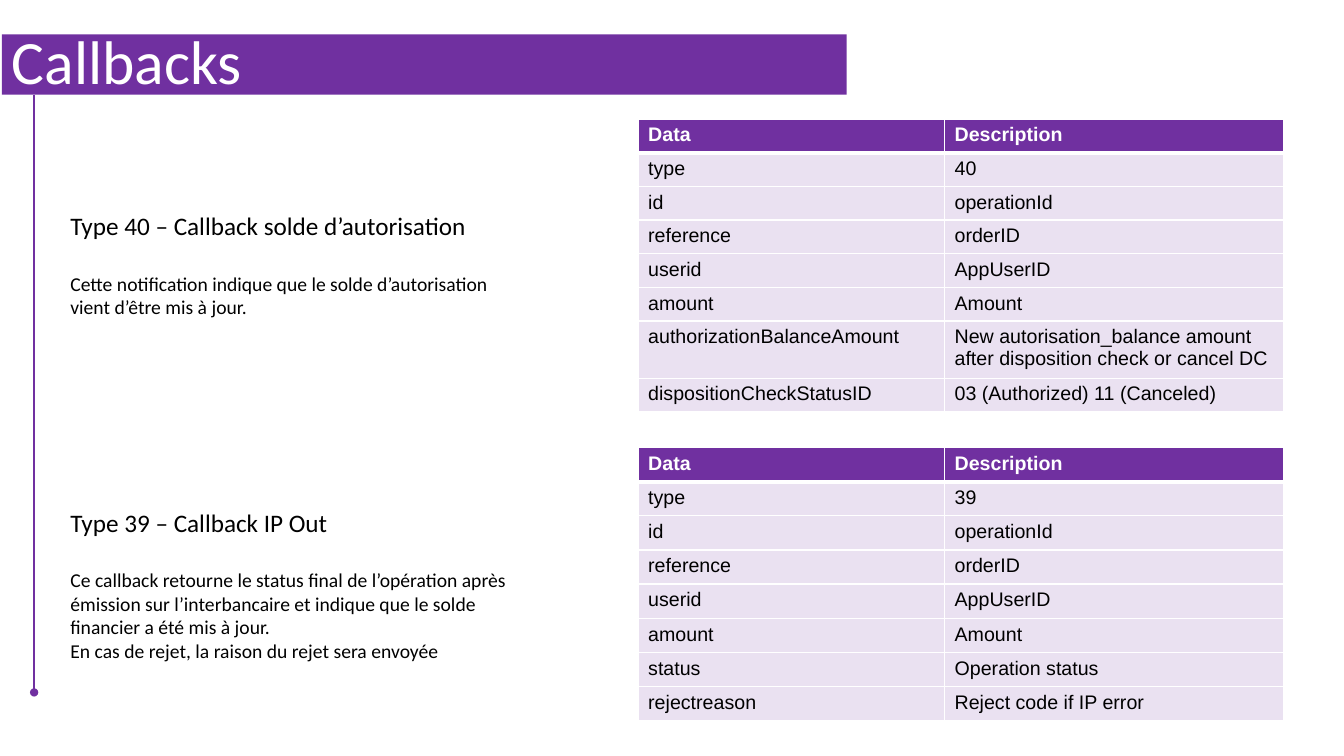
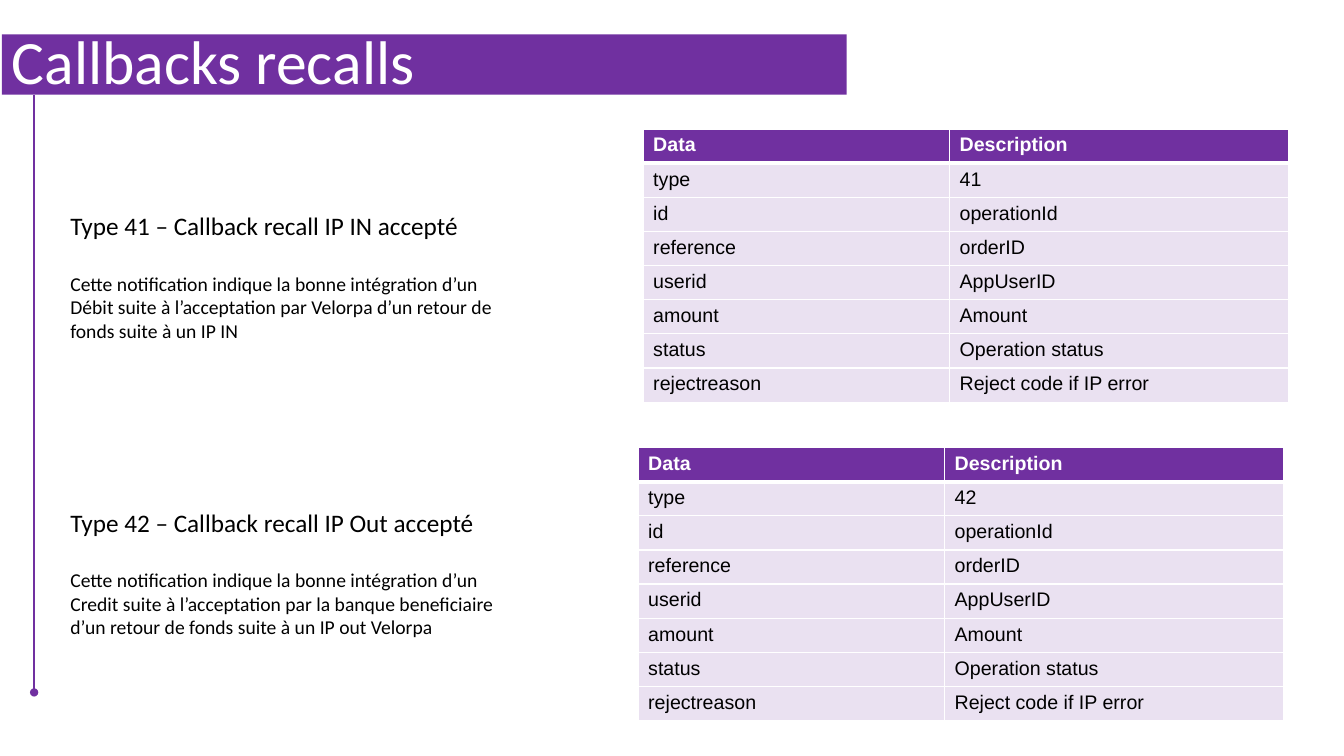
from collections import namedtuple

from lxml import etree
from pptx import Presentation
from pptx.dml.color import RGBColor
from pptx.enum.shapes import MSO_CONNECTOR
from pptx.enum.text import MSO_ANCHOR, MSO_AUTO_SIZE, PP_ALIGN
from pptx.oxml.ns import qn
from pptx.util import Pt

STRAIGHT = MSO_CONNECTOR.STRAIGHT
MIDDLE = MSO_ANCHOR.MIDDLE
NO_FIT = MSO_AUTO_SIZE.NONE
GROW = MSO_AUTO_SIZE.SHAPE_TO_FIT_TEXT
LEFT = PP_ALIGN.LEFT

COLORS = {"purple": "7030A0", "white": "FFFFFF", "black": "000000"}
TEXT_FONT = "Calibri"
TABLE_FONT = "Arial"
TINT_ALPHA = 14

Box = namedtuple("Box", "left top width height")
Section = namedtuple("Section", "heading lines text_box rows table_box row_heights")

TITLE_BOX = Box(1.3, 24.5, 603.5, 43.2)
RAIL_BOX = Box(24.4, 67.7, 0, 426.9)
TABLE_WIDTH = 460.8
DATA_SHARE = 0.475
ROW = 24.4

HEADER = ("Data", "Description")
COMMON_ROWS = [
    ("id", "operationId"),
    ("reference", "orderID"),
    ("userid", "AppUserID"),
    ("amount", "Amount"),
]
STATUS_ROWS = [
    ("status", "Operation status"),
    ("rejectreason", "Reject code if IP error"),
]
BALANCE_ROWS = [
    ("authorizationBalanceAmount",
     "New autorisation_balance amount after disposition check or cancel DC"),
    ("dispositionCheckStatusID", "03 (Authorized) 11 (Canceled)"),
]


def rgb(name):
    return RGBColor.from_string(COLORS[name])


def in_points(box):
    return [Pt(length) for length in box]


def write(paragraph, text, size=14, font=TEXT_FONT, color="black", bold=False,
          before=0, line_spacing=1.0):
    paragraph.alignment = LEFT
    paragraph.space_before = Pt(before)
    paragraph.line_spacing = line_spacing
    run = paragraph.add_run()
    run.text = text
    run.font.size = Pt(size)
    run.font.name = font
    run.font.bold = bold
    run.font.color.rgb = rgb(color)


def add_title(slide, box, text):
    title = slide.shapes.title
    title.left, title.top, title.width, title.height = in_points(box)
    title.fill.solid()
    title.fill.fore_color.rgb = rgb("purple")
    frame = title.text_frame
    frame.word_wrap = True
    frame.auto_size = NO_FIT
    frame.vertical_anchor = MIDDLE
    write(frame.paragraphs[0], text, size=44, color="white", line_spacing=0.9)


def add_rail(slide, box):
    left, top, width, height = in_points(box)
    rail = slide.shapes.add_connector(STRAIGHT, left, top, left + width, top + height)
    rail.line.color.rgb = rgb("purple")
    rail.line.width = Pt(1.5)
    etree.SubElement(rail.line._get_or_add_ln(), qn("a:tailEnd"), type="oval")
    etree.SubElement(rail._element.spPr, qn("a:effectLst"))


def add_description(slide, box, heading, lines):
    description = slide.shapes.add_textbox(*in_points(box))
    frame = description.text_frame
    frame.word_wrap = True
    frame.auto_size = GROW
    write(frame.paragraphs[0], heading, size=18)
    for index, line in enumerate(lines):
        write(frame.add_paragraph(), line, before=0 if index else 22)


def set_borders(cell, **widths):
    properties = cell._tc.get_or_add_tcPr()
    for side in "LRTB":
        border = etree.SubElement(properties, qn("a:ln" + side),
                                  w=str(Pt(widths.get(side, 1))))
        fill = etree.SubElement(border, qn("a:solidFill"))
        etree.SubElement(fill, qn("a:srgbClr"), val=COLORS["white"])


def fill_cell(cell, alpha=100):
    cell.fill.solid()
    cell.fill.fore_color.rgb = rgb("purple")
    if alpha < 100:
        color = cell._tc.tcPr.find(qn("a:solidFill")).find(qn("a:srgbClr"))
        etree.SubElement(color, qn("a:alpha"), val=str(alpha * 1000))


def add_data_table(slide, box, rows, row_heights):
    entries = [HEADER] + rows
    table = slide.shapes.add_table(len(entries), len(HEADER), *in_points(box)).table
    table.horz_banding = False
    for column, share in zip(table.columns, (DATA_SHARE, 1 - DATA_SHARE)):
        column.width = Pt(box.width * share)
    for index, (entry, height) in enumerate(zip(entries, row_heights)):
        table.rows[index].height = Pt(height)
        is_header = index == 0
        for cell, text in zip(table.rows[index].cells, entry):
            set_borders(cell, T=3 if index == 1 else 1, B=3 if is_header else 1)
            fill_cell(cell, alpha=100 if is_header else TINT_ALPHA)
            write(cell.text_frame.paragraphs[0], text, font=TABLE_FONT, bold=is_header,
                  color="white" if is_header else "black")


def make_section(number, name, lines, text_box, table_at, extra_rows=STATUS_ROWS,
                 row_heights=(ROW,) * 8):
    rows = [("type", str(number))] + COMMON_ROWS + extra_rows
    table_box = Box(*table_at, TABLE_WIDTH, sum(row_heights))
    return Section(f"Type {number} – {name}", lines, text_box, rows, table_box, row_heights)


def add_callback_slide(deck, title, sections):
    slide = deck.slides.add_slide(deck.slide_layouts[5])
    add_rail(slide, RAIL_BOX)
    add_title(slide, TITLE_BOX, title)
    for section in sections:
        add_description(slide, section.text_box, section.heading, section.lines)
        add_data_table(slide, section.table_box, section.rows, section.row_heights)


def main():
    deck = Presentation()
    deck.slide_width, deck.slide_height = Pt(960), Pt(540)
    lower_table_at = (455.8, 319.7)
    add_callback_slide(deck, "Callbacks", [
        make_section(
            40, "Callback solde d’autorisation",
            ["Cette notification indique que le solde d’autorisation vient d’être mis à jour."],
            Box(43.2, 146.9, 336.2, 85), (455.8, 85), BALANCE_ROWS,
            (24,) * 6 + (40.7, 24)),
        make_section(
            39, "Callback IP Out",
            ["Ce callback retourne le status final de l’opération après émission sur "
             "l’interbancaire et indique que le solde financier a été mis à jour.",
             "En cas de rejet, la raison du rejet sera envoyée"],
            Box(43.2, 358.6, 329, 118.8), lower_table_at),
    ])
    add_callback_slide(deck, "Callbacks recalls", [
        make_section(
            41, "Callback recall IP IN accepté",
            ["Cette notification indique la bonne intégration d’un Débit suite à "
             "l’acceptation par Velorpa d’un retour de fonds suite à un IP IN"],
            Box(43.2, 146.9, 336.2, 101.5), (459.4, 92.2)),
        make_section(
            42, "Callback recall IP Out accepté",
            ["Cette notification indique la bonne intégration d’un Credit suite à "
             "l’acceptation par la banque beneficiaire d’un retour de fonds suite à "
             "un IP out Velorpa"],
            Box(43.2, 358.6, 329, 101.5), lower_table_at),
    ])
    deck.save("out.pptx")


if __name__ == "__main__":
    main()
